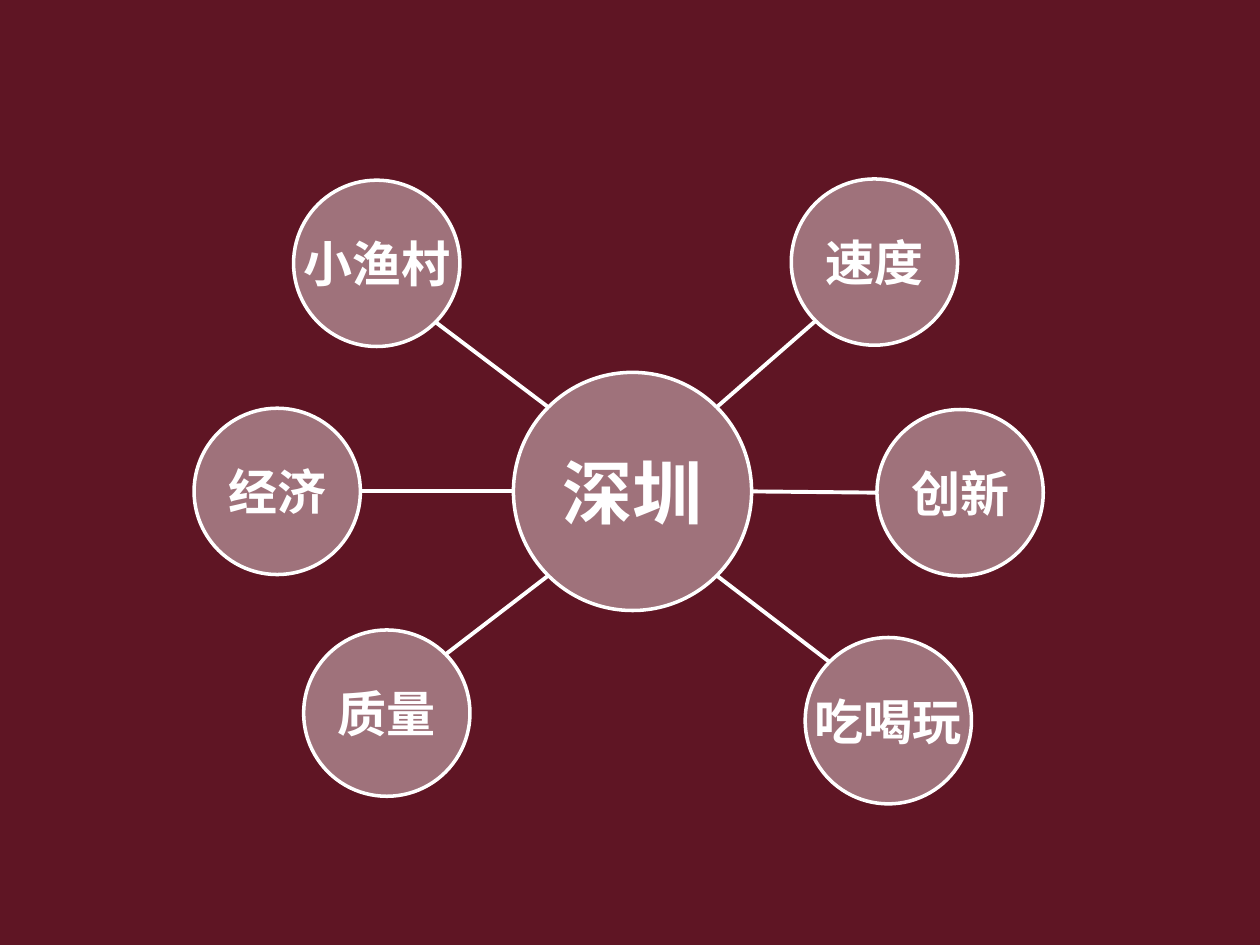
from dataclasses import dataclass
from math import sqrt

from lxml import etree
from pptx import Presentation
from pptx.dml.color import RGBColor
from pptx.enum import shapes, text
from pptx.oxml import ns
from pptx.util import Inches, Pt

FONT = "Noto Sans CJK SC"
BACKGROUND = "5F1524"
WHITE = "FFFFFF"


@dataclass(frozen=True)
class Topic:
    label: str
    x: float
    y: float
    diameter: float = 1.32
    size: int = 28

    def rim(self, across: int, down: int) -> tuple[float, float]:
        reach = self.diameter / 2 / sqrt(across**2 + down**2)
        return self.x + across * reach, self.y + down * reach


@dataclass(frozen=True)
class Branch:
    topic: Topic
    across: int
    down: int


CITY = Topic("深圳", 5.02, 3.9, 1.89, 40)
BRANCHES = [
    Branch(Topic("速度", 6.94, 2.08), 1, -1),
    Branch(Topic("创新", 7.62, 3.91), 1, 0),
    Branch(Topic("吃喝玩", 7.05, 5.72), 1, 1),
    Branch(Topic("小渔村", 2.99, 2.09), -1, -1),
    Branch(Topic("经济", 2.2, 3.9), -1, 0),
    Branch(Topic("质量", 3.07, 5.66), -1, 1),
]


def paint(color_format, hex_color: str) -> None:
    color_format.rgb = RGBColor.from_string(hex_color)


def centred(topic: Topic, width: float, height: float) -> tuple:
    return (Inches(topic.x - width / 2), Inches(topic.y - height / 2),
            Inches(width), Inches(height))


def draw_topic(slide, topic: Topic) -> None:
    group = slide.shapes.add_group_shape()
    circle = group.shapes.add_shape(
        shapes.MSO_SHAPE.OVAL, *centred(topic, topic.diameter, topic.diameter))
    circle.shadow.inherit = False
    circle.fill.solid()
    paint(circle.fill.fore_color, WHITE)
    tint = circle._element.spPr.find(ns.qn("a:solidFill"))[0]
    etree.SubElement(tint, ns.qn("a:alpha"), val="40000")
    paint(circle.line.color, WHITE)
    circle.line.width = Pt(2)

    em = topic.size / 72
    caption = group.shapes.add_textbox(
        *centred(topic, em * len(topic.label) + 0.2, em * 1.2 + 0.1))
    frame = caption.text_frame
    frame.word_wrap = False
    frame.auto_size = text.MSO_AUTO_SIZE.SHAPE_TO_FIT_TEXT
    frame.vertical_anchor = text.MSO_ANCHOR.MIDDLE
    frame.text = topic.label
    paragraph = frame.paragraphs[0]
    paragraph.alignment = text.PP_ALIGN.CENTER
    paragraph.font.name = FONT
    paragraph.font.size = Pt(topic.size)
    paragraph.font.bold = True
    paint(paragraph.font.color, WHITE)
    defaults = paragraph._p.pPr.find(ns.qn("a:defRPr"))
    etree.SubElement(defaults, ns.qn("a:ea"), typeface=FONT)


def draw_link(slide, branch: Branch) -> None:
    start = branch.topic.rim(-branch.across, -branch.down)
    end = CITY.rim(branch.across, branch.down)
    link = slide.shapes.add_connector(
        shapes.MSO_CONNECTOR.STRAIGHT, *(Inches(value) for value in start + end))
    paint(link.line.color, WHITE)
    link.line.width = Pt(2.25)
    etree.SubElement(link._element.spPr, ns.qn("a:effectLst"))


def main() -> None:
    deck = Presentation()
    deck.slide_width = Inches(10)
    deck.slide_height = Inches(7.5)
    slide = deck.slides.add_slide(deck.slide_layouts[6])
    slide.background.fill.solid()
    paint(slide.background.fill.fore_color, BACKGROUND)

    draw_topic(slide, CITY)
    for branch in BRANCHES:
        draw_topic(slide, branch.topic)
    for branch in BRANCHES:
        draw_link(slide, branch)
    deck.save("out.pptx")


if __name__ == "__main__":
    main()
